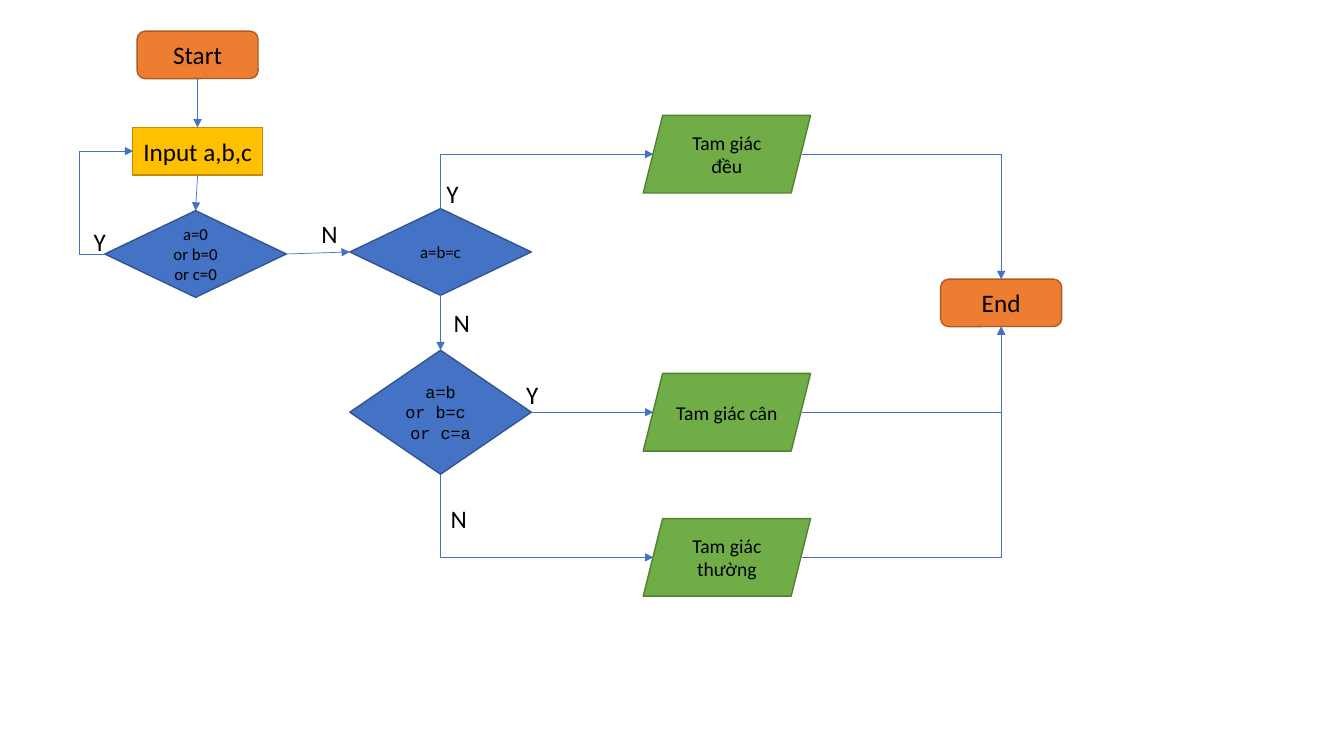
from pptx import Presentation
from pptx.dml.color import RGBColor
from pptx.enum.shapes import MSO_CONNECTOR as LINK, MSO_SHAPE as SHAPE
from pptx.enum.text import MSO_ANCHOR, MSO_AUTO_SIZE, PP_ALIGN
from pptx.oxml.ns import qn
from pptx.util import Inches, Pt
from lxml.etree import SubElement

# Preset, fill, outline, width, height and text size of each kind of step
TERMINAL = (SHAPE.ROUNDED_RECTANGLE, "ED7D31", "AF5C24", 1.2, 0.47, 18)
ENTRY = (SHAPE.RECTANGLE, "FFC000", "BD8E00", 1.29, 0.47, 18)
DECISION = (SHAPE.DIAMOND, "4472C4", "325491", 1.8, 0.86, 12)
TALL_DECISION = (SHAPE.DIAMOND, "4472C4", "325491", 1.8, 1.23, 12)
OUTCOME = (SHAPE.PARALLELOGRAM, "70AD47", "538035", 1.66, 0.77, 14)
TOP, LEFT, BOTTOM, RIGHT = range(4)

TEST_X = 4.37      # centre of the second column of decisions
OUTCOME_X = 7.21   # centre of the outcomes
OUTCOME_IN, OUTCOME_OUT = 6.48, 7.95   # middles of the slanted sides
END_X, END_TOP, END_BOTTOM = 9.93, 2.77, 3.24
EQUAL_Y, ISOSCELES_Y, SCALENE_Y = 1.53, 4.09, 5.53


def rgb(value):
    """Turn a hex string into a colour."""
    return RGBColor.from_string(value)


def write(frame, text, size, font="Calibri", align=None):
    """Fill a text frame and format its runs."""
    frame.text = text
    for paragraph in frame.paragraphs:
        paragraph.alignment = align
        for run in paragraph.runs:
            run.font.name = font
            run.font.size = Pt(size)
            run.font.color.rgb = rgb("000000")


def add_step(slide, kind, center_x, center_y, text, font="Calibri"):
    """Add a flowchart step centred on a point."""
    preset, fill, outline, width, height, size = kind
    step = slide.shapes.add_shape(
        preset, Inches(center_x - width / 2), Inches(center_y - height / 2),
        Inches(width), Inches(height))
    step.shadow.inherit = False
    step.fill.solid()
    step.fill.fore_color.rgb = rgb(fill)
    step.line.color.rgb = rgb(outline)
    step.line.width = Pt(1)
    step.text_frame.vertical_anchor = MSO_ANCHOR.MIDDLE
    write(step.text_frame, text, size, font, PP_ALIGN.CENTER)
    return step


def add_branch_label(slide, left, top, text):
    """Add the Y or N beside a branch."""
    width = 0.32 if text == "Y" else 0.36
    label = slide.shapes.add_textbox(
        Inches(left), Inches(top), Inches(width), Inches(0.4))
    label.text_frame.word_wrap = False
    label.text_frame.auto_size = MSO_AUTO_SIZE.SHAPE_TO_FIT_TEXT
    write(label.text_frame, text, 18)


def add_arrow(slide, start, end, link=LINK.STRAIGHT):
    """Add a thin connector with an arrowhead at its end."""
    arrow = slide.shapes.add_connector(
        link, *(Inches(value) for value in (*start, *end)))
    arrow.line.color.rgb = rgb("4472C4")
    arrow.line.width = Pt(0.5)
    SubElement(arrow.line._get_or_add_ln(), qn("a:tailEnd"), type="triangle")
    SubElement(arrow._element.spPr, qn("a:effectLst"))
    return arrow


def join(slide, source, source_side, target, target_side):
    """Glue a straight arrow to the sides of two steps."""
    arrow = add_arrow(slide, (0, 0), (1, 1))
    arrow.begin_connect(source, source_side)
    arrow.end_connect(target, target_side)


def add_corner(slide, start, end, vertical_first=False):
    """Add an arrow that turns one right angle."""
    rotation = 0
    if vertical_first:
        # The preset starts sideways, so lay it out turned by a quarter
        (x1, y1), (x2, y2) = start, end
        mid_x, mid_y = (x1 + x2) / 2, (y1 + y2) / 2
        turn = 1 if y2 > y1 else -1
        half_w, half_h = (y2 - y1) / 2 * turn, (x2 - x1) / 2 * turn
        start = mid_x + half_w, mid_y - half_h
        end = mid_x - half_w, mid_y + half_h
        rotation = 270 if turn > 0 else 90
    arrow = add_arrow(slide, start, end, LINK.ELBOW)
    properties = arrow._element.spPr
    properties.find(qn("a:prstGeom")).set("prst", "bentConnector2")
    if rotation:
        properties.find(qn("a:xfrm")).set("rot", str(rotation * 60000))


def add_loop(slide, start, end, bend_x):
    """Add an arrow that goes back by way of a vertical line at bend_x."""
    arrow = add_arrow(slide, start, end, LINK.ELBOW)
    geometry = arrow._element.spPr.find(qn("a:prstGeom"))
    guides = geometry.find(qn("a:avLst"))
    if guides is None:
        guides = SubElement(geometry, qn("a:avLst"))
    share = round((bend_x - start[0]) / (end[0] - start[0]) * 100000)
    SubElement(guides, qn("a:gd"), name="adj1", fmla=f"val {share}")


def main():
    """Build the triangle classification flowchart."""
    deck = Presentation()
    deck.slide_width, deck.slide_height = Inches(13.33), Inches(7.5)
    slide = deck.slides.add_slide(deck.slide_layouts[6])

    start = add_step(slide, TERMINAL, 1.96, 0.545, "Start")
    sides = add_step(slide, ENTRY, 1.96, 1.5, "Input a,b,c")
    zero_test = add_step(slide, DECISION, 1.94, 2.52, "a=0\nor b=0\nor c=0")
    equal_test = add_step(slide, DECISION, TEST_X, 2.5, "a=b=c")
    isosceles_test = add_step(
        slide, TALL_DECISION, TEST_X, ISOSCELES_Y,
        "a=b\nor\u00a0b=c\u00a0\nor\u00a0c=a", "Courier New")
    add_step(slide, TERMINAL, END_X, (END_TOP + END_BOTTOM) / 2, "End")
    for center_y, text in ((EQUAL_Y, "Tam giác đều"),
                           (ISOSCELES_Y, "Tam giác cân"),
                           (SCALENE_Y, "Tam giác thường")):
        add_step(slide, OUTCOME, OUTCOME_X, center_y, text)
        end_side = END_TOP if center_y < END_TOP else END_BOTTOM
        add_corner(slide, (OUTCOME_OUT, center_y), (END_X, end_side))

    join(slide, start, BOTTOM, sides, TOP)
    join(slide, sides, BOTTOM, zero_test, TOP)
    join(slide, zero_test, RIGHT, equal_test, LEFT)
    join(slide, equal_test, BOTTOM, isosceles_test, TOP)
    add_loop(slide, (1.04, 2.52), (1.32, 1.5), 0.79)
    add_corner(slide, (TEST_X, 2.08), (OUTCOME_IN, EQUAL_Y), True)
    add_arrow(slide, (5.27, ISOSCELES_Y), (OUTCOME_IN, ISOSCELES_Y))
    add_corner(slide, (TEST_X, 4.71), (OUTCOME_IN, SCALENE_Y), True)

    for left, top, text in ((0.83, 2.2, "Y"), (3.09, 2.12, "N"),
                            (4.33, 1.72, "Y"), (4.4, 3, "N"),
                            (5.12, 3.71, "Y"), (4.37, 4.94, "N")):
        add_branch_label(slide, left, top, text)

    deck.save("out.pptx")


main()
